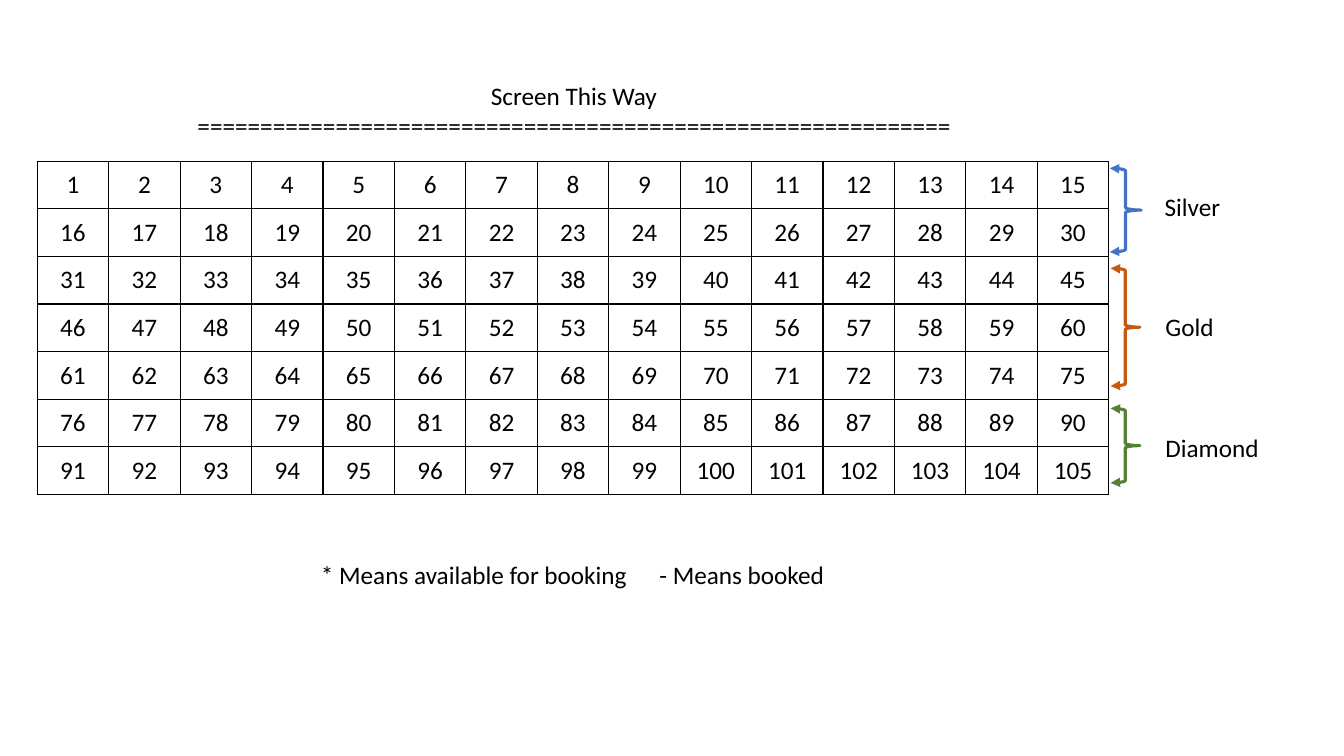
import pptx
import pptx.dml.color
import pptx.enum.shapes
import pptx.enum.text
import pptx.oxml
import pptx.oxml.ns
import pptx.util
from lxml import etree

Cm = pptx.util.Cm
Pt = pptx.util.Pt
ALIGN = pptx.enum.text.PP_ALIGN
ANCHOR = pptx.enum.text.MSO_ANCHOR
FONT = "Calibri"
COLORS = {
    "text": "000000",
    "grid": "000000",
    "silver": "4472C4",
    "gold": "C55A11",
    "diamond": "548235",
}
ROWS, COLUMNS = 7, 15


def add_run(paragraph, text, align=ALIGN.LEFT):
    """Add one run in the slide's text style and align its paragraph."""
    paragraph.alignment = align
    run = paragraph.add_run()
    run.text = text
    run.font.name = FONT
    run.font.size = Pt(18)
    run.font.color.rgb = pptx.dml.color.RGBColor.from_string(COLORS["text"])


def add_textbox(slide, box):
    """Add a wrapping text box that grows with its text; return its frame."""
    frame = slide.shapes.add_textbox(*map(Cm, box)).text_frame
    frame.word_wrap = True
    frame.auto_size = pptx.enum.text.MSO_AUTO_SIZE.SHAPE_TO_FIT_TEXT
    return frame


def add_screen_title(slide, box):
    """Place the screen heading and its rule in the title placeholder."""
    title = slide.shapes.title
    title.left, title.top, title.width, title.height = map(Cm, box)
    frame = title.text_frame
    frame.word_wrap = True
    frame.auto_size = pptx.enum.text.MSO_AUTO_SIZE.SHAPE_TO_FIT_TEXT
    frame.vertical_anchor = ANCHOR.TOP
    add_run(frame.paragraphs[0], "Screen This Way", ALIGN.CENTER)
    add_run(frame.add_paragraph(), "=" * 60, ALIGN.CENTER)


def add_cell_borders(cell):
    """Draw a thin line on all four sides of a cell."""
    properties = cell._tc.get_or_add_tcPr()
    for position, side in enumerate(("lnL", "lnR", "lnT", "lnB")):
        line = pptx.oxml.parse_xml(
            f'<a:{side} {pptx.oxml.ns.nsdecls("a")} w="{Pt(1)}"><a:solidFill>'
            f'<a:srgbClr val="{COLORS["grid"]}"/></a:solidFill></a:{side}>'
        )
        properties.insert(position, line)


def add_seats(slide, box):
    """Fill the box with an even table of numbered seats."""
    left, top, width, height = box
    table = slide.shapes.add_table(ROWS, COLUMNS, *map(Cm, box)).table
    table.first_row = table.horz_banding = False
    for column in table.columns:
        column.width = Cm(width / COLUMNS)
    for row in table.rows:
        row.height = Cm(height / ROWS)
    for seat, cell in enumerate(table.iter_cells(), start=1):
        cell.vertical_anchor = ANCHOR.MIDDLE
        cell.fill.background()
        add_cell_borders(cell)
        add_run(cell.text_frame.paragraphs[0], str(seat), ALIGN.CENTER)


def add_zone(slide, box, name, label_top, label_width):
    """Draw a zone's brace in the box and its label to the right."""
    left, top, width, height = box
    brace = slide.shapes.add_shape(
        pptx.enum.shapes.MSO_SHAPE.RIGHT_BRACE, *map(Cm, box))
    brace.shadow.inherit = False
    brace.fill.background()
    brace.line.color.rgb = pptx.dml.color.RGBColor.from_string(
        COLORS[name.lower()])
    brace.line.width = Pt(2.25)
    line = brace.line._get_or_add_ln()
    for end in ("a:headEnd", "a:tailEnd"):
        etree.SubElement(line, pptx.oxml.ns.qn(end), type="triangle")
    frame = add_textbox(
        slide, (left + 1.13, top + label_top, label_width, 1.02))
    add_run(frame.paragraphs[0], name)


def add_legend(slide, box):
    """Explain the two booking marks, set apart by a tab stop."""
    frame = add_textbox(slide, box)
    frame.margin_left = Cm(3.54)
    paragraph = frame.paragraphs[0]
    add_run(paragraph, "* Means available for booking\t- Means booked")
    tabs = etree.SubElement(
        paragraph._p.get_or_add_pPr(), pptx.oxml.ns.qn("a:tabLst"))
    etree.SubElement(
        tabs, pptx.oxml.ns.qn("a:tab"), pos=str(Cm(8.53)), algn="l")


def build_seating_slide(presentation):
    """Build the cinema seating plan on a title-only slide."""
    slide = presentation.slides.add_slide(presentation.slide_layouts[5])
    add_screen_title(slide, (4.57, 1.9, 19.79, 1.8))
    add_seats(slide, (0.94, 4.06, 27, 8.4))
    zones = (
        ("Silver", (27.97, 4.24, 0.79, 2.11), 0.46, 2.67),
        ("Gold", (27.99, 6.76, 0.74, 2.97), 0.96, 2.67),
        ("Diamond", (27.99, 10.29, 0.74, 1.88), 0.48, 3.12),
    )
    for name, box, label_top, label_width in zones:
        add_zone(slide, box, name, label_top, label_width)
    add_legend(slide, (4.55, 13.97, 19.79, 1.02))


presentation = pptx.Presentation()
presentation.slide_width = Cm(33.87)
presentation.slide_height = Cm(19.05)
build_seating_slide(presentation)
presentation.save("out.pptx")
